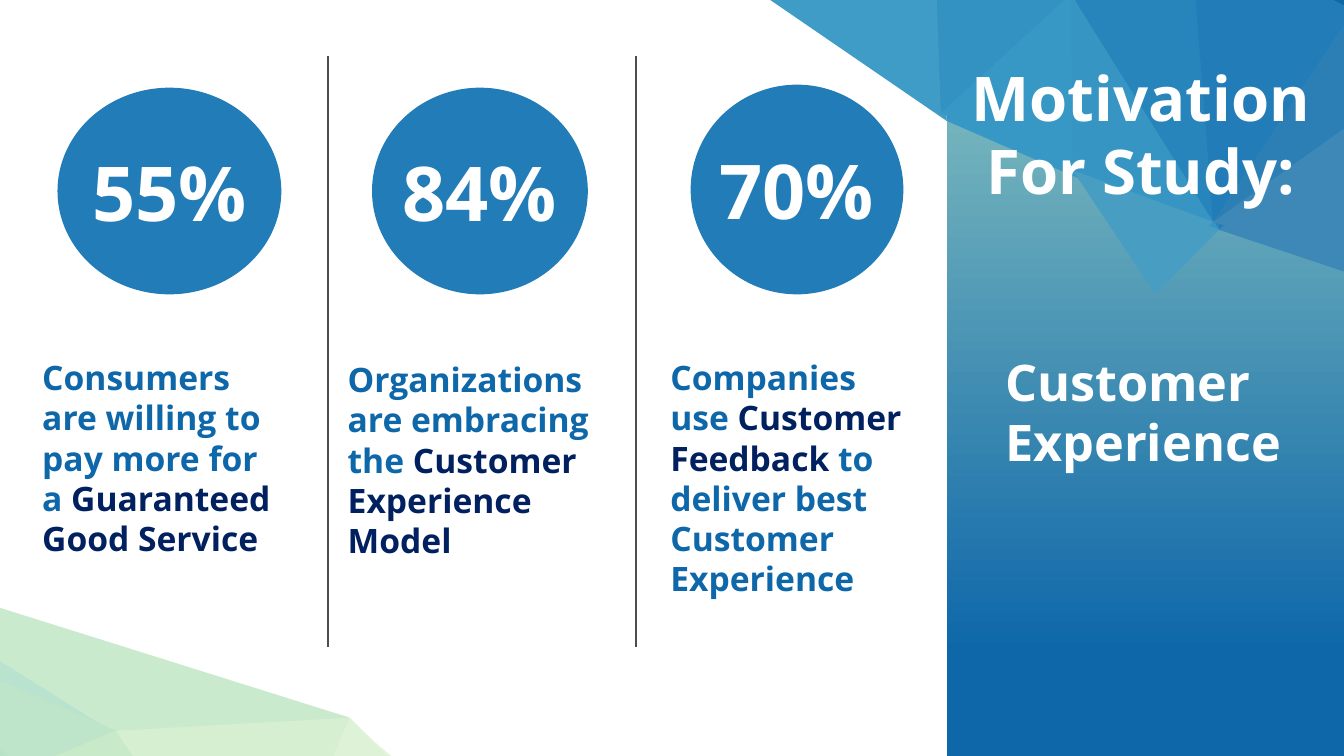
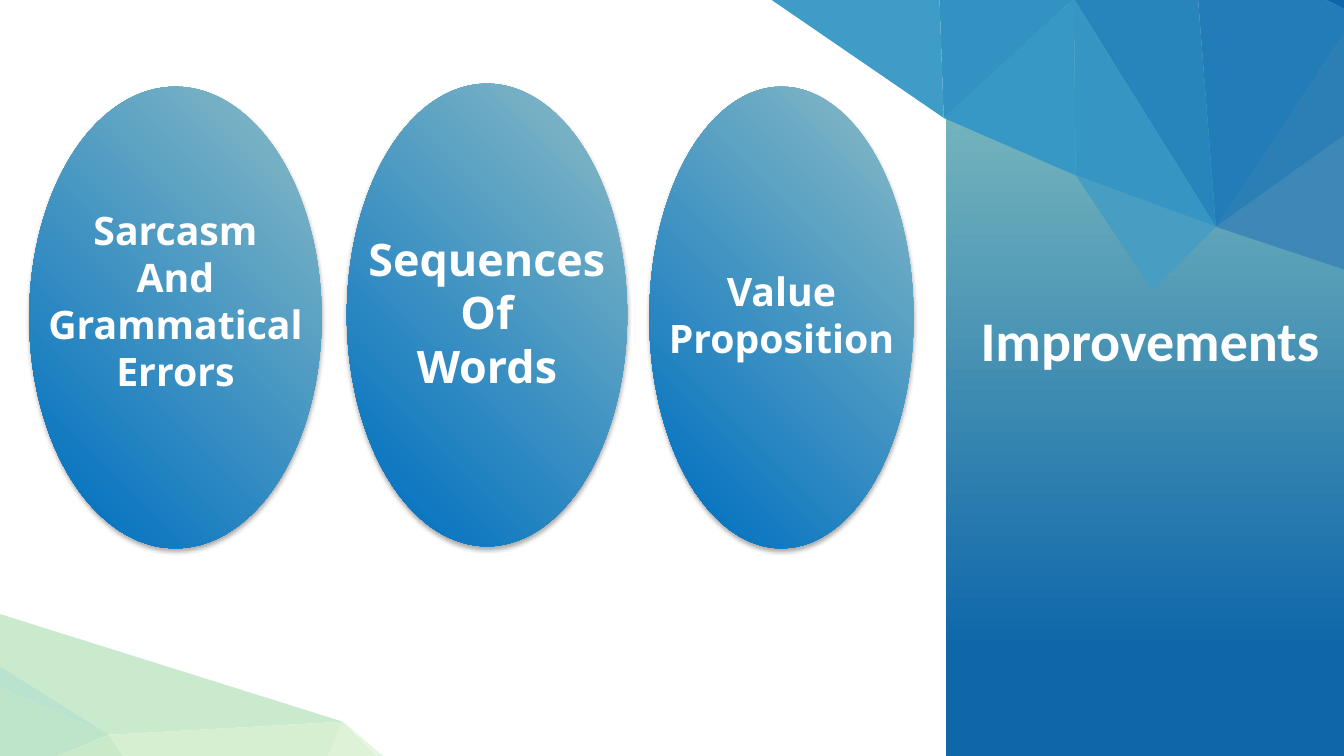
from lxml import etree
from pptx import Presentation
from pptx.dml.color import RGBColor
from pptx.enum import shapes, text
from pptx.oxml import ns, parse_xml
from pptx.util import Inches, Pt

WHITE = RGBColor(0xFF, 0xFF, 0xFF)
NAVY = RGBColor(0x00, 0x20, 0x60)
BLUE = RGBColor(0x0E, 0x67, 0xA9)
DISC_BLUE = RGBColor(0x22, 0x7C, 0xB7)
GREY = RGBColor(0x4D, 0x4D, 0x4D)
BRIGHT_BLUE = RGBColor(0x00, 0x70, 0xC0)
MIST = RGBColor(0x8C, 0xBC, 0xC5)
PALE_BLUE = RGBColor(0xC7, 0xD5, 0xED)
TEAL = RGBColor(0x7B, 0xB9, 0xBE)

SANS = "Open Sans"
TITLE_FONT = "Calibri"
LEFT, CENTER = text.PP_ALIGN.LEFT, text.PP_ALIGN.CENTER
TOP, MIDDLE = text.MSO_ANCHOR.TOP, text.MSO_ANCHOR.MIDDLE

SIDEBAR_STOPS = [(1, PALE_BLUE), (11, TEAL), (86, BLUE), (92, BLUE)]
SIDEBAR_DIRECTION = '<a:lin ang="5400000" scaled="0"/>'
OVAL_STOPS = [(5, BRIGHT_BLUE), (100, MIST)]
OVAL_DIRECTION = ('<a:path path="circle"><a:fillToRect t="100000" r="100000"/>'
                  '</a:path>')

CORNERS = {
    "A": (13.95, 2.9), "B": (13.66, 1.16), "C": (12.09, 2.28),
    "D": (13.48, 0.18), "E": (13.35, -1.44), "F": (11.86, -0.65),
    "G": (10.68, 0.02), "H": (10.7, 1.77), "I": (11.46, 2.91),
    "J": (9.39, 1.2), "K": (9.33, -0.48), "L": (7.1, -0.37),
    "M": (-1.56, 5.57), "N": (1.15, 7.28), "O": (3.47, 7.15),
    "P": (-1.02, 6.34), "Q": (0.21, 7.67), "R": (-0.42, 7.9),
    "S": (2.53, 9.33), "T": (5.14, 8.83), "U": (5.65, 9.0),
}
BLUE_FACETS = {
    "ABC": RGBColor(0x3D, 0x88, 0xB6), "DEF": BLUE,
    "BDC": RGBColor(0x2C, 0x7F, 0xB5), "DFC": DISC_BLUE,
    "CFG": RGBColor(0x27, 0x85, 0xBB), "CGH": RGBColor(0x36, 0x95, 0xC3),
    "CHI": RGBColor(0x48, 0x9D, 0xC2), "HGJ": RGBColor(0x38, 0x98, 0xC5),
    "GKJ": RGBColor(0x33, 0x92, 0xC1), "JKL": RGBColor(0x3F, 0x9C, 0xC6),
}
GREEN_FACETS = {
    "MNO": RGBColor(0xCA, 0xEA, 0xCD), "MPN": RGBColor(0xB9, 0xE3, 0xCE),
    "PQN": RGBColor(0xBE, 0xE5, 0xC9), "PRQ": RGBColor(0xB8, 0xE3, 0xC7),
    "QSN": RGBColor(0xC9, 0xEA, 0xC8), "NSO": RGBColor(0xD5, 0xEF, 0xD0),
    "OTU": RGBColor(0xE7, 0xF6, 0xE0), "OST": RGBColor(0xDE, 0xF2, 0xD8),
}

STATS = [
    ("55%", (0.57, 0.87, 2.22, 2.05), (0.32, 3.49, 2.59, 2.12),
     [("Consumers are willing to pay more for a ", BLUE),
      ("Guaranteed Good Service", NAVY)]),
    ("84%", (3.69, 0.87, 2.14, 2.05), (3.35, 3.51, 2.78, 2.12),
     [("Organizations are embracing the ", BLUE),
      ("Customer Experience Model", NAVY)]),
    ("70%", (6.85, 0.84, 2.11, 2.08), (6.55, 3.49, 2.59, 2.52),
     [("Companies use ", BLUE), ("Customer Feedback", NAVY),
      (" to deliver best Customer Experience", BLUE)]),
]
DIVIDERS = (3.25, 6.31)

IMPROVEMENTS = [
    (["Sarcasm", "And", "Grammatical\vErrors"], 28, 0.34,
     (0.29, 0.86, 2.9, 4.58)),
    (["Sequences", "Of", "Words"], 32, 0.06, (3.44, 0.83, 2.78, 4.59)),
    (["Value\vProposition"], 28, 0.06, (6.44, 0.86, 2.62, 4.58)),
]


def lengths(box):
    return [Inches(v) for v in box]


def write(tf, paragraphs, size, font=SANS, color=WHITE, align=LEFT,
          anchor=TOP, wrap=True):
    tf.word_wrap = wrap
    tf.auto_size = text.MSO_AUTO_SIZE.NONE
    tf.vertical_anchor = anchor
    for i, runs in enumerate(paragraphs):
        p = tf.add_paragraph() if i else tf.paragraphs[0]
        p.alignment = align
        for content, run_color in [(runs, color)] if isinstance(runs, str) else runs:
            for j, line in enumerate(content.split("\v")):
                if j:
                    p.add_line_break()
                r = p.add_run()
                r.text = line
                r.font.name = font
                r.font.size = Pt(size)
                r.font.bold = True
                r.font.color.rgb = run_color


def paint_gradient(shape, stops, direction):
    marks = "".join(f'<a:gs pos="{pos * 1000}"><a:srgbClr val="{color}"/></a:gs>'
                    for pos, color in stops)
    spPr = shape.element.spPr
    spPr.insert(2, parse_xml(
        f'<a:gradFill {ns.nsdecls("a")} rotWithShape="1">'
        f'<a:gsLst>{marks}</a:gsLst>{direction}</a:gradFill>'))


def add_plain(s, kind, box, color=None):
    shape = s.shapes.add_shape(kind, *lengths(box))
    shape.shadow.inherit = False
    shape.line.fill.background()
    if color is not None:
        shape.fill.solid()
        shape.fill.fore_color.rgb = color
    return shape


def add_facets(s, facets, dx=0, dy=0, skip=()):
    for name, color in facets.items():
        if name in skip:
            continue
        start, *rest = [(Inches(CORNERS[c][0] + dx), Inches(CORNERS[c][1] + dy))
                        for c in name]
        builder = s.shapes.build_freeform(*start)
        builder.add_line_segments(rest, close=True)
        facet = builder.convert_to_shape()
        facet.shadow.inherit = False
        facet.fill.solid()
        facet.fill.fore_color.rgb = color
        facet.line.fill.background()


def add_sidebar(s, box):
    sidebar = add_plain(s, shapes.MSO_SHAPE.RECTANGLE, box)
    paint_gradient(sidebar, SIDEBAR_STOPS, SIDEBAR_DIRECTION)


def add_title(s, content, box, size, font):
    title = s.shapes.title
    s.shapes.element.append(title.element)
    title.left, title.top, title.width, title.height = lengths(box)
    write(title.text_frame, [content], size, font=font, align=CENTER)


def add_text(s, paragraphs, box, size):
    write(s.shapes.add_textbox(*lengths(box)).text_frame, paragraphs, size)


def add_divider(s, x, top, bottom):
    line = s.shapes.add_connector(shapes.MSO_CONNECTOR.STRAIGHT,
                                  *lengths((x, top, x, bottom)))
    line.line.color.rgb = GREY
    line.line.width = Pt(1.5)
    etree.SubElement(line.element.spPr, ns.qn("a:effectLst"))


def add_stat(s, figure, disc_box, text_box, runs):
    disc = add_plain(s, shapes.MSO_SHAPE.OVAL, disc_box, DISC_BLUE)
    write(disc.text_frame, [figure], 54, align=CENTER, anchor=MIDDLE, wrap=False)
    add_text(s, [runs], text_box, 24)


def add_improvement(s, lines, size, lift, box):
    oval = add_plain(s, shapes.MSO_SHAPE.OVAL, box)
    paint_gradient(oval, OVAL_STOPS, OVAL_DIRECTION)
    oval.element.spPr.find(ns.qn("a:effectLst")).append(parse_xml(
        f'<a:outerShdw {ns.nsdecls("a")} blurRad="{Pt(3.5)}" dist="{Pt(2.2)}" '
        'dir="5400000" rotWithShape="0"><a:srgbClr val="000000">'
        '<a:alpha val="32000"/></a:srgbClr></a:outerShdw>'))
    tf = oval.text_frame
    tf.margin_top, tf.margin_bottom = Inches(0.05), Inches(0.05 + lift)
    write(tf, lines, size, align=CENTER, anchor=MIDDLE, wrap=False)


def motivation_slide(prs):
    s = prs.slides.add_slide(prs.slide_layouts[5])
    add_sidebar(s, (9.39, -0.03, 3.94, 7.57))
    add_facets(s, GREEN_FACETS)
    add_facets(s, BLUE_FACETS)
    add_facets(s, BLUE_FACETS, -0.06, -0.08)
    add_facets(s, GREEN_FACETS, 0, -0.03, skip=("MPN", "OTU"))
    add_title(s, "Motivation For Study:", (9.41, 0.54, 3.81, 1.58), 44, SANS)
    add_text(s, ["Customer Experience"], (9.87, 3.43, 2.97, 1.31), 36)
    for x in DIVIDERS:
        add_divider(s, x, 0.56, 6.42)
    for stat in STATS:
        add_stat(s, *stat)


def improvements_slide(prs):
    s = prs.slides.add_slide(prs.slide_layouts[5])
    add_sidebar(s, (9.38, -0.06, 3.95, 7.57))
    add_facets(s, GREEN_FACETS, -0.07, 0.01, skip=("PRQ",))
    add_facets(s, BLUE_FACETS, -0.03, -0.03)
    for improvement in IMPROVEMENTS:
        add_improvement(s, *improvement)
    add_title(s, "Improvements", (9.55, 2.98, 3.71, 0.77), 40, TITLE_FONT)


def main():
    prs = Presentation()
    prs.slide_width, prs.slide_height = Inches(13.33), Inches(7.5)
    motivation_slide(prs)
    improvements_slide(prs)
    prs.save("out.pptx")


if __name__ == "__main__":
    main()
